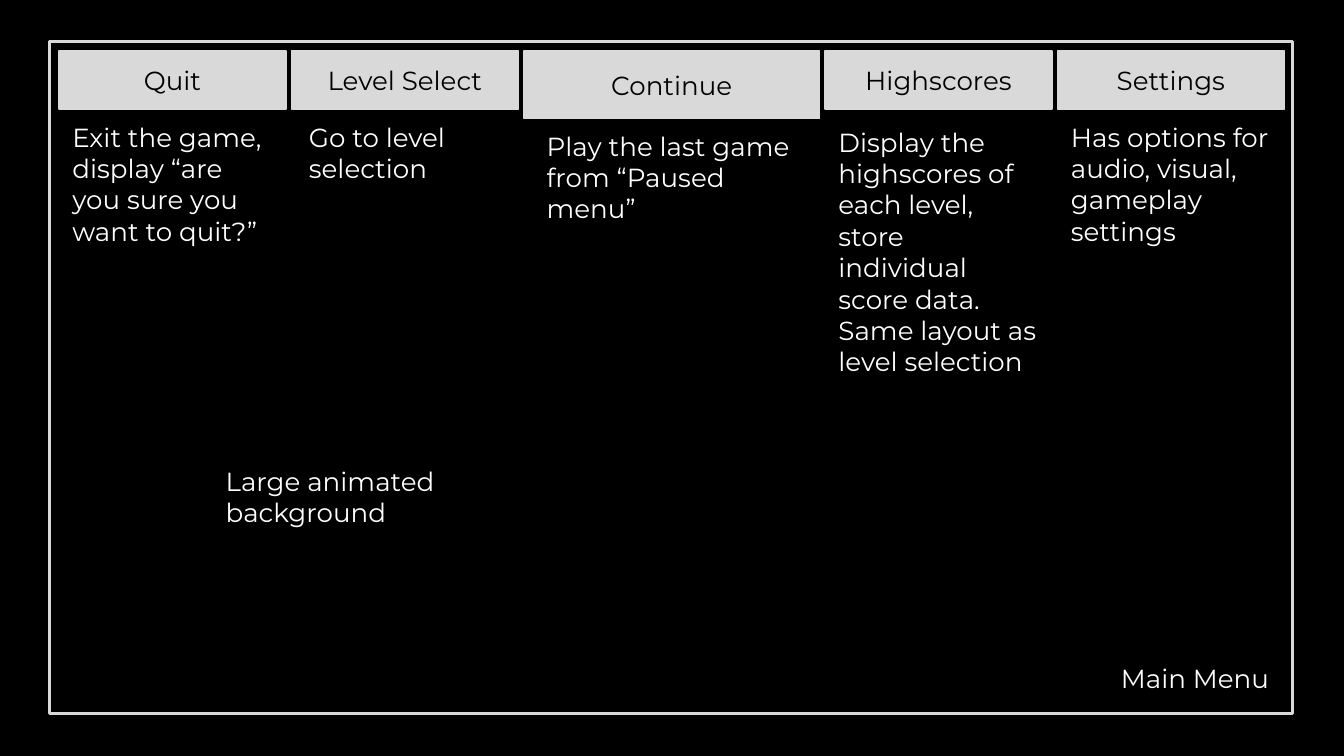
from pptx import Presentation
from pptx.dml.color import RGBColor
from pptx.enum.shapes import MSO_SHAPE
from pptx.enum.text import MSO_ANCHOR, MSO_AUTO_SIZE, PP_ALIGN
from pptx.util import Pt

RECTANGLE = MSO_SHAPE.RECTANGLE
TOP, MIDDLE = MSO_ANCHOR.TOP, MSO_ANCHOR.MIDDLE
LEFT, CENTER = PP_ALIGN.LEFT, PP_ALIGN.CENTER
FIT_SHAPE = MSO_AUTO_SIZE.SHAPE_TO_FIT_TEXT
BLACK = RGBColor(0x00, 0x00, 0x00)
WHITE = RGBColor(0xFF, 0xFF, 0xFF)
GRAY = RGBColor(0xD9, 0xD9, 0xD9)
FONT, FONT_SIZE, INSET = "Montserrat", 14, 7.2

TITLE = ("Main Menu", (593.3, 347.8, 95, 31.7))
BACKGROUND_NOTE = ("Large animated background", (113.8, 241.9, 148.3, 48.2))
FRAME = (26.6, 22.3, 666, 360)
MENU_LEFT, MENU_TOP, MENU_GAP = 31.7, 27.4, 3
MENU = [
    {"label": "Quit", "size": (121.5, 31),
     "note": "Exit the game, display “are you sure you want to quit?”",
     "indent": 0, "note_top": 57.6, "note_size": (121, 82.1)},
    {"label": "Level Select", "size": (121.5, 31),
     "note": "Go to level selection",
     "indent": 2.2, "note_top": 57.6, "note_size": (121, 48.2)},
    {"label": "Continue", "size": (158.4, 36),
     "note": "Play the last game from “Paused menu”",
     "indent": 5.1, "note_top": 62.4, "note_size": (148.3, 65.5)},
    {"label": "Highscores", "size": (121.5, 31),
     "note": "Display the highscores of each level, store individual score data. "
             "Same layout as level selection",
     "indent": 0, "note_top": 60.3, "note_size": (121, 150.5)},
    {"label": "Settings", "size": (121.5, 31),
     "note": "Has options for audio, visual, gameplay settings",
     "indent": 0, "note_top": 57.6, "note_size": (121, 82.1)},
]


def points(box):
    return [Pt(value) for value in box]


def write(shape, text, color, alignment=LEFT, anchor=TOP):
    frame = shape.text_frame
    frame.text = text
    frame.word_wrap = True
    frame.vertical_anchor = anchor
    frame.margin_left = frame.margin_right = Pt(INSET)
    frame.margin_top = frame.margin_bottom = Pt(INSET)
    paragraph = frame.paragraphs[0]
    paragraph.alignment = alignment
    font = paragraph.runs[0].font
    font.name, font.size = FONT, Pt(FONT_SIZE)
    font.color.rgb = color


def add_rectangle(slide, box, line_width):
    shape = slide.shapes.add_shape(RECTANGLE, *points(box))
    shape.shadow.inherit = False
    shape.fill.background()
    shape.line.color.rgb = GRAY
    shape.line.width = Pt(line_width)
    return shape


def add_button(slide, label, box):
    button = add_rectangle(slide, box, 0.75)
    button.fill.solid()
    button.fill.fore_color.rgb = GRAY
    write(button, label, BLACK, CENTER, MIDDLE)


def add_note(slide, text, box):
    note = slide.shapes.add_textbox(*points(box))
    write(note, text, WHITE)
    note.text_frame.auto_size = FIT_SHAPE


def main():
    presentation = Presentation()
    presentation.slide_width, presentation.slide_height = Pt(720), Pt(405)
    slide = presentation.slides.add_slide(presentation.slide_layouts[5])
    slide.background.fill.solid()
    slide.background.fill.fore_color.rgb = BLACK

    add_rectangle(slide, FRAME, 1.5)
    title = slide.shapes.title
    title.left, title.top, title.width, title.height = points(TITLE[1])
    write(title, TITLE[0], WHITE)
    title.text_frame.auto_size = FIT_SHAPE

    left = MENU_LEFT
    for item in MENU:
        add_button(slide, item["label"], (left, MENU_TOP, *item["size"]))
        add_note(slide, item["note"],
                 (left + item["indent"], item["note_top"], *item["note_size"]))
        left += item["size"][0] + MENU_GAP
    add_note(slide, *BACKGROUND_NOTE)

    presentation.save("out.pptx")


if __name__ == "__main__":
    main()
